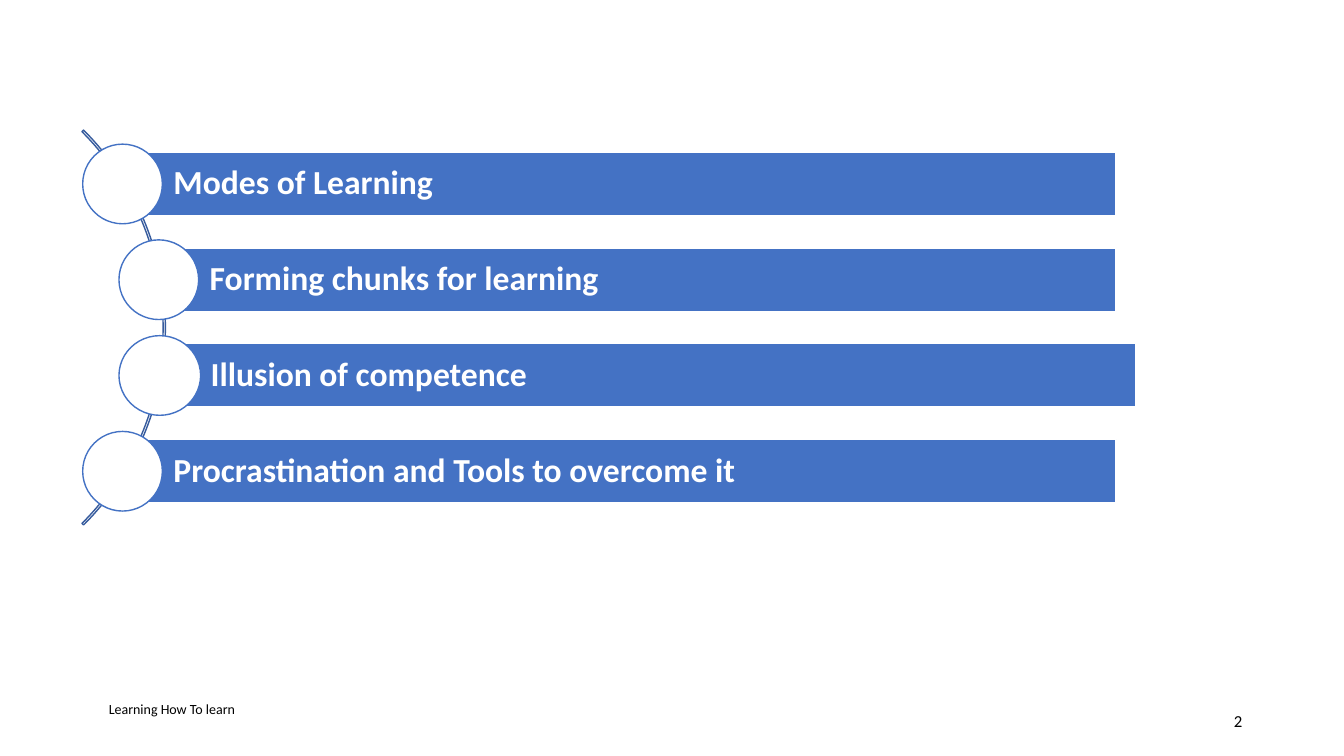
from pptx import Presentation
from pptx.dml.color import RGBColor
from pptx.enum.shapes import MSO_SHAPE
from pptx.enum.text import MSO_ANCHOR, PP_ALIGN
from pptx.util import Inches, Pt

BLUE, DARK_BLUE, WHITE, BLACK = "4472C4", "365B9D", "FFFFFF", "000000"
ROW_TOP, ROW_STEP = 1.43, 0.95
BAR_HEIGHT, CIRCLE_HEIGHT = 0.63, 0.79

# topic, bar left, bar width, circle left, circle width
TOPICS = [
    ("Modes of Learning", 1.22, 9.85, 0.82, 0.79),
    ("Forming chunks for learning", 1.58, 9.49, 1.18, 0.79),
    ("Illusion of competence", 1.59, 9.67, 1.18, 0.81),
    ("Procrastination and Tools to overcome it", 1.22, 9.85, 0.82, 0.79),
]


def rgb(color):
    return RGBColor.from_string(color)


def write_text(shape, text, size=12, color=BLACK, bold=False,
               align=PP_ALIGN.LEFT, insets=(0.1, 0.05, 0.1, 0.05), line_spacing=1.0):
    frame = shape.text_frame
    frame.word_wrap = True
    frame.vertical_anchor = MSO_ANCHOR.MIDDLE
    (frame.margin_left, frame.margin_top,
     frame.margin_right, frame.margin_bottom) = map(Inches, insets)
    para = frame.paragraphs[0]
    para.alignment = align
    para.line_spacing = line_spacing
    span = para.add_run()
    span.text = text
    span.font.name = "Calibri"
    span.font.size = Pt(size)
    span.font.bold = bold
    span.font.color.rgb = rgb(color)


def add_figure(shapes, kind, box, line, fill=None):
    """Add a preset shape; without a fill colour it stays hollow."""
    figure = shapes.add_shape(kind, *map(Inches, box))
    figure.shadow.inherit = False
    figure.line.color.rgb = rgb(line)
    figure.line.width = Pt(1)
    if fill:
        figure.fill.solid()
        figure.fill.fore_color.rgb = rgb(fill)
    else:
        figure.fill.background()
    return figure


def add_arc(shapes):
    arc = add_figure(shapes, MSO_SHAPE.BLOCK_ARC, (-3.9, 0.48, 5.54, 5.54), DARK_BLUE)
    for index, value in enumerate((189, 27, 0.004)):
        arc.adjustments[index] = value


def add_topic(shapes, top, topic, bar_left, bar_width, circle_left, circle_width):
    row = shapes.add_group_shape().shapes
    bar_top = top + (CIRCLE_HEIGHT - BAR_HEIGHT) / 2
    bar = add_figure(row, MSO_SHAPE.RECTANGLE,
                     (bar_left, bar_top, bar_width, BAR_HEIGHT), WHITE, BLUE)
    write_text(bar, topic, size=24, color=WHITE, bold=True,
               insets=(0.5, 0.08, 0.08, 0.08), line_spacing=0.9)
    add_figure(row, MSO_SHAPE.OVAL,
               (circle_left, top, circle_width, CIRCLE_HEIGHT), BLUE, WHITE)


def add_label(shapes, text, box, **text_format):
    write_text(shapes.add_textbox(*map(Inches, box)), text, **text_format)


def main():
    deck = Presentation()
    deck.slide_width, deck.slide_height = Inches(13.33), Inches(7.5)
    page = deck.slides.add_slide(deck.slide_layouts[6])
    add_arc(page.shapes)
    for index, topic in enumerate(TOPICS):
        add_topic(page.shapes, ROW_TOP + index * ROW_STEP, *topic)
    add_label(page.shapes, "2", (9.42, 6.95, 3, 0.4), align=PP_ALIGN.RIGHT)
    add_label(page.shapes, "Learning How To learn", (1.08, 6.88, 9.36, 0.31),
              size=10, insets=(0, 0.05, 0.1, 0.05))
    deck.save("out.pptx")


if __name__ == "__main__":
    main()
